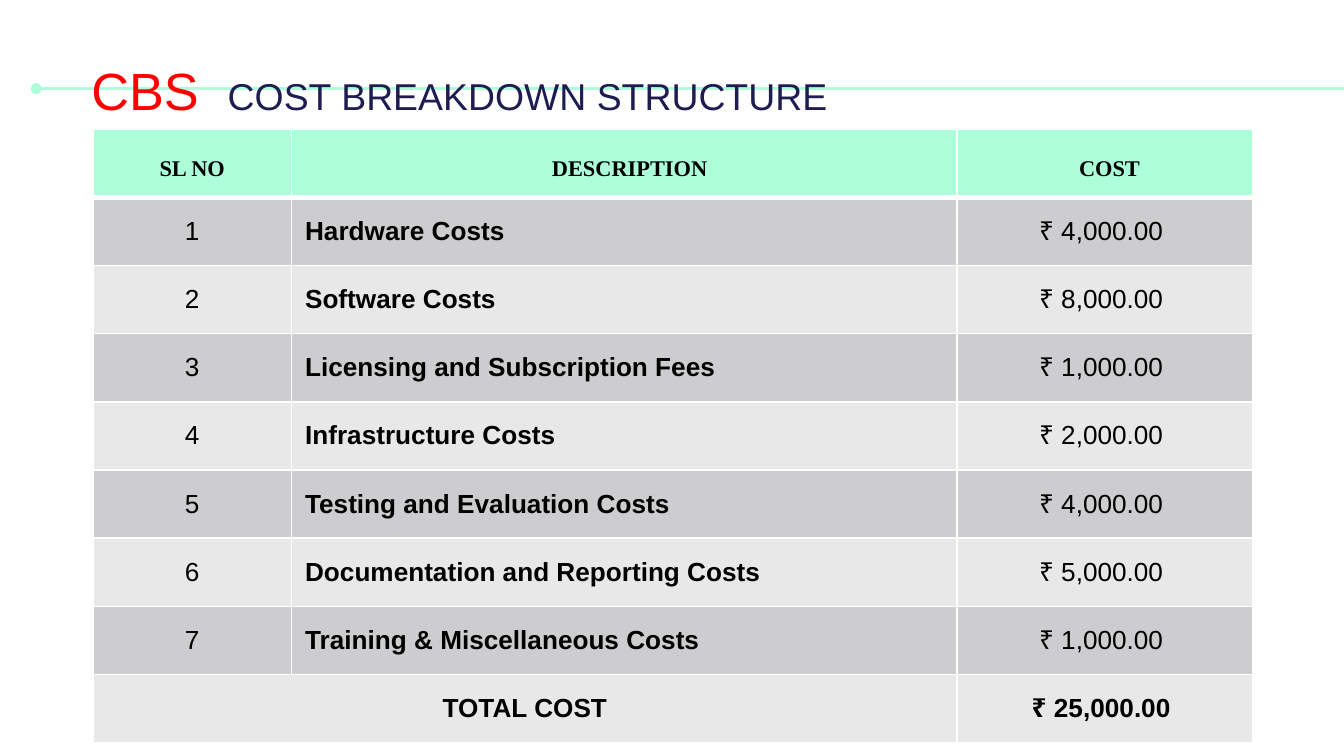
from dataclasses import dataclass

from lxml import etree
from pptx import Presentation
from pptx.dml.color import RGBColor
from pptx.enum.shapes import MSO_CONNECTOR as Connector
from pptx.enum.text import MSO_ANCHOR as Anchor, MSO_AUTO_SIZE as AutoSize, PP_ALIGN as Align
from pptx.oxml.ns import qn
from pptx.util import Inches, Pt


@dataclass(frozen=True)
class Theme:
    mint: str = "ACFFD9"
    red: str = "FF0000"
    navy: str = "1F1C51"
    black: str = "000000"
    white: str = "FFFFFF"
    bands: tuple = ("CDCDD0", "E8E8E9")
    body_font: str = "Arial"
    header_font: str = "Times New Roman"
    acronym_size: int = 28
    title_size: int = 20
    header_size: int = 12
    body_size: int = 14


THEME = Theme()
SLIDE_WIDTH = 10
SLIDE_HEIGHT = SLIDE_WIDTH * 9 / 16
HEADERS = (("SL NO", 0), ("DESCRIPTION", 0.08), ("COST", 0.07))
COSTS = (
    ("Hardware Costs", 4000),
    ("Software Costs", 8000),
    ("Licensing and Subscription Fees", 1000),
    ("Infrastructure Costs", 2000),
    ("Testing and Evaluation Costs", 4000),
    ("Documentation and Reporting Costs", 5000),
    ("Training & Miscellaneous Costs", 1000),
)
COLUMN_WIDTHS = (1.48, 4.95, 2.2)
TABLE_HEIGHT = 4.57


def style_font(font, size, color, name=THEME.body_font, bold=False):
    font.size = Pt(size)
    font.name = name
    font.bold = bold
    font.color.rgb = RGBColor.from_string(color)


def add_rule(page):
    rule = page.shapes.add_connector(
        Connector.STRAIGHT, Inches(0.27), Inches(0.66), Inches(SLIDE_WIDTH), Inches(0.66))
    rule.line.color.rgb = RGBColor.from_string(THEME.mint)
    rule.line.width = Pt(1.5)
    etree.SubElement(rule.line._get_or_add_ln(), qn("a:headEnd"), type="oval")
    etree.SubElement(rule._element.spPr, qn("a:effectLst"))
    page.shapes.title._element.addprevious(rule._element)


def format_title(page):
    box = page.shapes.title
    box.left, box.top = Inches(0.58), Inches(0.37)
    box.width, box.height = Inches(7.17), Inches(0.59)
    frame = box.text_frame
    frame.auto_size = AutoSize.NONE
    frame.word_wrap = True
    frame.vertical_anchor = Anchor.MIDDLE
    frame.margin_left = frame.margin_right = Inches(0.1)
    frame.margin_top = frame.margin_bottom = Inches(0.1)
    para = frame.paragraphs[0]
    para.alignment = Align.LEFT
    for text, size, color, spacing in (
        ("CBS", THEME.acronym_size, THEME.red, 0),
        (" ", THEME.acronym_size, THEME.red, 780),
        ("COST BREAKDOWN STRUCTURE", THEME.title_size, THEME.navy, 0),
    ):
        span = para.add_run()
        span.text = text
        style_font(span.font, size, color)
        span.font._element.set("spc", str(spacing))


def set_borders(cell, top=1, bottom=1):
    properties = cell._tc.get_or_add_tcPr()
    for side, width in (("L", 1), ("R", 1), ("T", top), ("B", bottom)):
        line = etree.SubElement(properties, qn(f"a:ln{side}"), w=str(Pt(width)))
        fill = etree.SubElement(line, qn("a:solidFill"))
        etree.SubElement(fill, qn("a:srgbClr"), val=THEME.white)


def set_cell(cell, text, fill, align=Align.CENTER, top=1, bottom=1):
    set_borders(cell, top, bottom)
    cell.fill.solid()
    cell.fill.fore_color.rgb = RGBColor.from_string(fill)
    cell.vertical_anchor = Anchor.MIDDLE
    cell.text_frame.text = text
    para = cell.text_frame.paragraphs[0]
    para.alignment = align
    return para


def fill_cell(cell, text, fill, align=Align.CENTER, bold=False, top=1):
    para = set_cell(cell, text, fill, align, top)
    style_font(para.runs[0].font, THEME.body_size, THEME.black, bold=bold)


def fill_header(cell, text, indent):
    para = set_cell(cell, text, THEME.mint, bottom=3)
    cell.margin_left = cell.margin_right = cell.margin_top = cell.margin_bottom = 0
    para.line_spacing = 1.5
    para._p.get_or_add_pPr().set("marL", str(Inches(indent)))
    style_font(para.runs[0].font, THEME.header_size, THEME.black, THEME.header_font, True)


def rupees(amount):
    return f"₹ {amount:,.2f} "


def add_cost_table(page):
    row_count = len(COSTS) + 2
    table = page.shapes.add_table(
        row_count, len(HEADERS), Inches(0.69), Inches(0.96),
        Inches(sum(COLUMN_WIDTHS)), Inches(TABLE_HEIGHT)).table
    for column, width in zip(table.columns, COLUMN_WIDTHS):
        column.width = Inches(width)
    for row in table.rows:
        row.height = Inches(TABLE_HEIGHT / row_count)
    for column, (text, indent) in enumerate(HEADERS):
        fill_header(table.cell(0, column), text, indent)
    for number, (description, amount) in enumerate(COSTS, start=1):
        band = THEME.bands[(number - 1) % 2]
        top = 3 if number == 1 else 1
        fill_cell(table.cell(number, 0), str(number), band, top=top)
        fill_cell(table.cell(number, 1), description, band, Align.LEFT, True, top)
        fill_cell(table.cell(number, 2), rupees(amount), band, top=top)
    total = row_count - 1
    band = THEME.bands[(total - 1) % 2]
    table.cell(total, 0).merge(table.cell(total, 1))
    fill_cell(table.cell(total, 0), "TOTAL COST", band, bold=True)
    fill_cell(table.cell(total, 2), rupees(sum(amount for _, amount in COSTS)), band, bold=True)


def main():
    deck = Presentation()
    deck.slide_width, deck.slide_height = Inches(SLIDE_WIDTH), Inches(SLIDE_HEIGHT)
    page = deck.slides.add_slide(deck.slide_layouts[5])
    format_title(page)
    add_rule(page)
    add_cost_table(page)
    deck.save("out.pptx")


if __name__ == "__main__":
    main()
